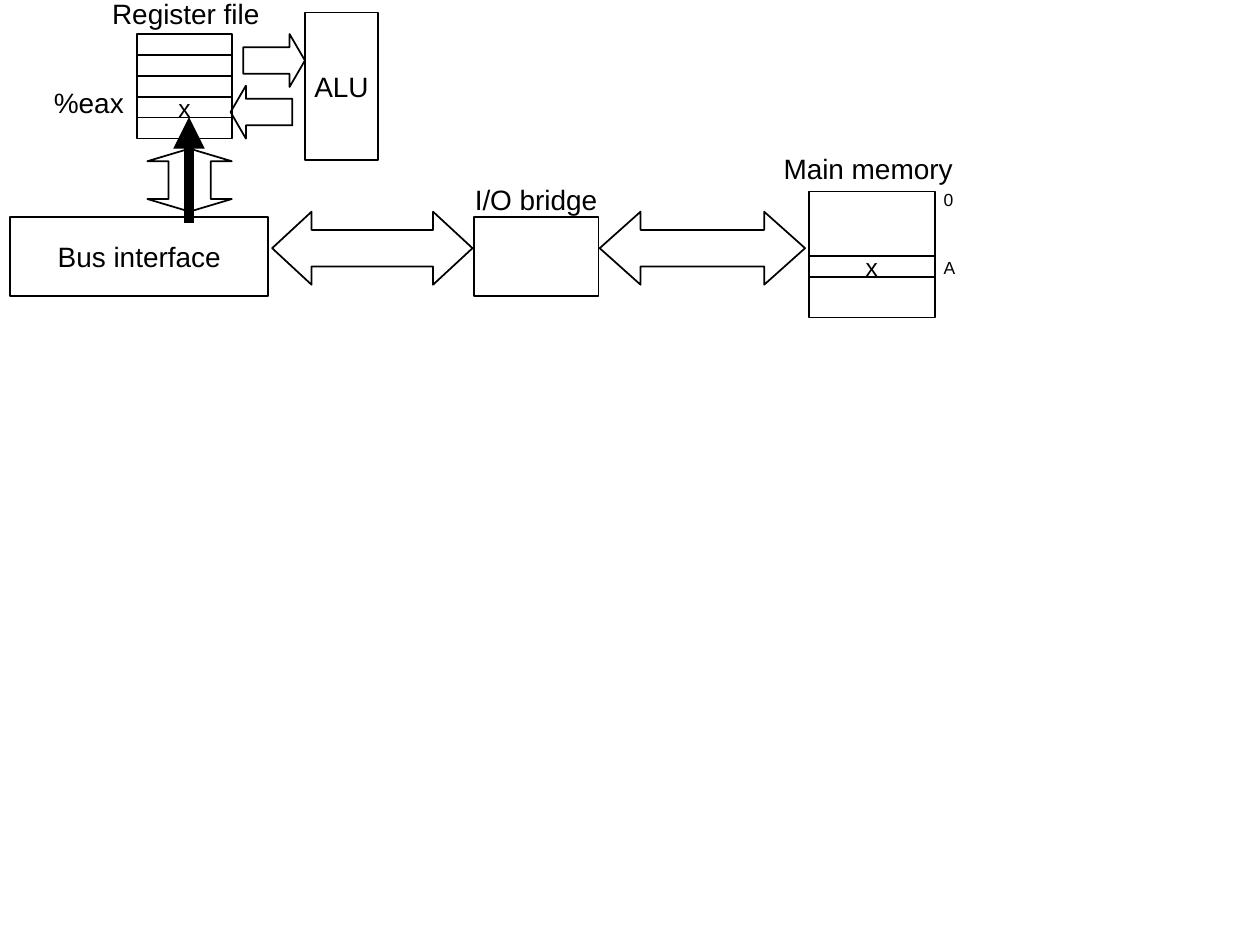
from dataclasses import dataclass

import pptx
import pptx.dml.color
import pptx.enum.shapes
import pptx.enum.text
import pptx.oxml
import pptx.oxml.ns
import pptx.util

Inches = pptx.util.Inches
Pt = pptx.util.Pt
MSO_SHAPE = pptx.enum.shapes.MSO_SHAPE
NS = pptx.oxml.ns.nsdecls("a")
BLACK = "000000"
WHITE = "FFFFFF"


@dataclass
class Box:
    left: float
    top: float
    width: float
    height: float
    text: str = ""
    size: int = 16
    fill: str = ""


@dataclass
class Arrow:
    kind: MSO_SHAPE
    left: float
    top: float
    width: float
    height: float
    head: float


def rgb(value: str) -> pptx.dml.color.RGBColor:
    return pptx.dml.color.RGBColor.from_string(value)


def write(sp, text: str, size: int) -> None:
    tf = sp.text_frame
    tf.word_wrap = False
    tf.vertical_anchor = pptx.enum.text.MSO_ANCHOR.MIDDLE
    p = tf.paragraphs[0]
    p.text = text
    p.alignment = pptx.enum.text.PP_ALIGN.CENTER
    p.font.name = "Arial"
    p.font.size = Pt(size)
    p.font.color.rgb = rgb(BLACK)


def add_outline(slide, kind: MSO_SHAPE, item: Box | Arrow, fill: str = ""):
    sp = slide.shapes.add_shape(
        kind, Inches(item.left), Inches(item.top), Inches(item.width), Inches(item.height)
    )
    sp.shadow.inherit = False
    if fill:
        sp.fill.solid()
        sp.fill.fore_color.rgb = rgb(fill)
    else:
        sp.fill.background()
    sp.line.color.rgb = rgb(BLACK)
    sp.line.width = Pt(1)
    return sp


def add_box(slide, box: Box) -> None:
    sp = add_outline(slide, MSO_SHAPE.RECTANGLE, box, box.fill)
    if box.text:
        write(sp, box.text, box.size)


def add_arrow(slide, arrow: Arrow) -> None:
    sp = add_outline(slide, arrow.kind, arrow)
    geometry = sp._element.spPr.find(pptx.oxml.ns.qn("a:prstGeom"))
    for child in list(geometry):
        geometry.remove(child)
    head = round(arrow.head * 100000)
    geometry.append(pptx.oxml.parse_xml(
        f'<a:avLst {NS}><a:gd name="adj1" fmla="val 50000"/>'
        f'<a:gd name="adj2" fmla="val {head}"/></a:avLst>'
    ))


def add_label(slide, label: Box) -> None:
    sp = slide.shapes.add_textbox(
        Inches(label.left), Inches(label.top), Inches(label.width), Inches(label.height)
    )
    write(sp, label.text, label.size)
    sp.text_frame.auto_size = pptx.enum.text.MSO_AUTO_SIZE.SHAPE_TO_FIT_TEXT


def add_load_path(slide, x: float, start: float, end: float) -> None:
    line = slide.shapes.add_connector(
        pptx.enum.shapes.MSO_CONNECTOR.STRAIGHT, Inches(x), Inches(start), Inches(x), Inches(end)
    )
    line.line.color.rgb = rgb(BLACK)
    line.line.width = Pt(6)
    ln = line.line._get_or_add_ln()
    ln.append(pptx.oxml.parse_xml(f'<a:tailEnd {NS} type="triangle"/>'))
    ln.addnext(pptx.oxml.parse_xml(f"<a:effectLst {NS}/>"))


REGISTERS = ["", "", "", "x", ""]
REGISTER_TOP = 0.27
REGISTER_HEIGHT = 0.83 / len(REGISTERS)

ARROWS = [
    Arrow(MSO_SHAPE.LEFT_RIGHT_ARROW, 4.76, 1.68, 1.63, 0.58, 0.56),
    Arrow(MSO_SHAPE.LEFT_RIGHT_ARROW, 2.16, 1.68, 1.59, 0.58, 0.54),
    Arrow(MSO_SHAPE.RIGHT_ARROW, 1.93, 0.27, 0.49, 0.42, 0.29),
    Arrow(MSO_SHAPE.LEFT_ARROW, 1.83, 0.68, 0.49, 0.42, 0.29),
    Arrow(MSO_SHAPE.UP_DOWN_ARROW, 1.17, 1.18, 0.67, 0.5, 0.2),
]
BOXES = [
    Box(3.76, 1.72, 0.99, 0.63),
    Box(2.42, 0.1, 0.58, 1.17, "ALU"),
    Box(0.08, 1.72, 2.05, 0.63, "Bus interface", fill=WHITE),
    Box(6.42, 1.52, 1, 1),
    Box(6.42, 2.03, 1, 0.17, "x", 14),
]
LABELS = [
    Box(0.79, -0.08, 1.37, 0.37, "Register file"),
    Box(6.12, 1.15, 1.54, 0.37, "Main memory"),
    Box(7.39, 1.45, 0.27, 0.27, "0", 10),
    Box(7.39, 1.99, 0.29, 0.27, "A", 10),
    Box(0.3, 0.63, 0.81, 0.37, "%eax"),
    Box(3.67, 1.4, 1.17, 0.37, "I/O bridge"),
]


def main() -> None:
    prs = pptx.Presentation()
    prs.slide_width = Inches(10)
    prs.slide_height = Inches(7.5)
    slide = prs.slides.add_slide(prs.slide_layouts[6])

    for i, value in enumerate(REGISTERS):
        top = REGISTER_TOP + i * REGISTER_HEIGHT
        add_box(slide, Box(1.09, top, 0.75, REGISTER_HEIGHT, value, 14))
    for arrow in ARROWS:
        add_arrow(slide, arrow)
    for box in BOXES:
        add_box(slide, box)
    add_load_path(slide, 1.5, 1.77, 0.93)
    for label in LABELS:
        add_label(slide, label)

    prs.save("out.pptx")


if __name__ == "__main__":
    main()
